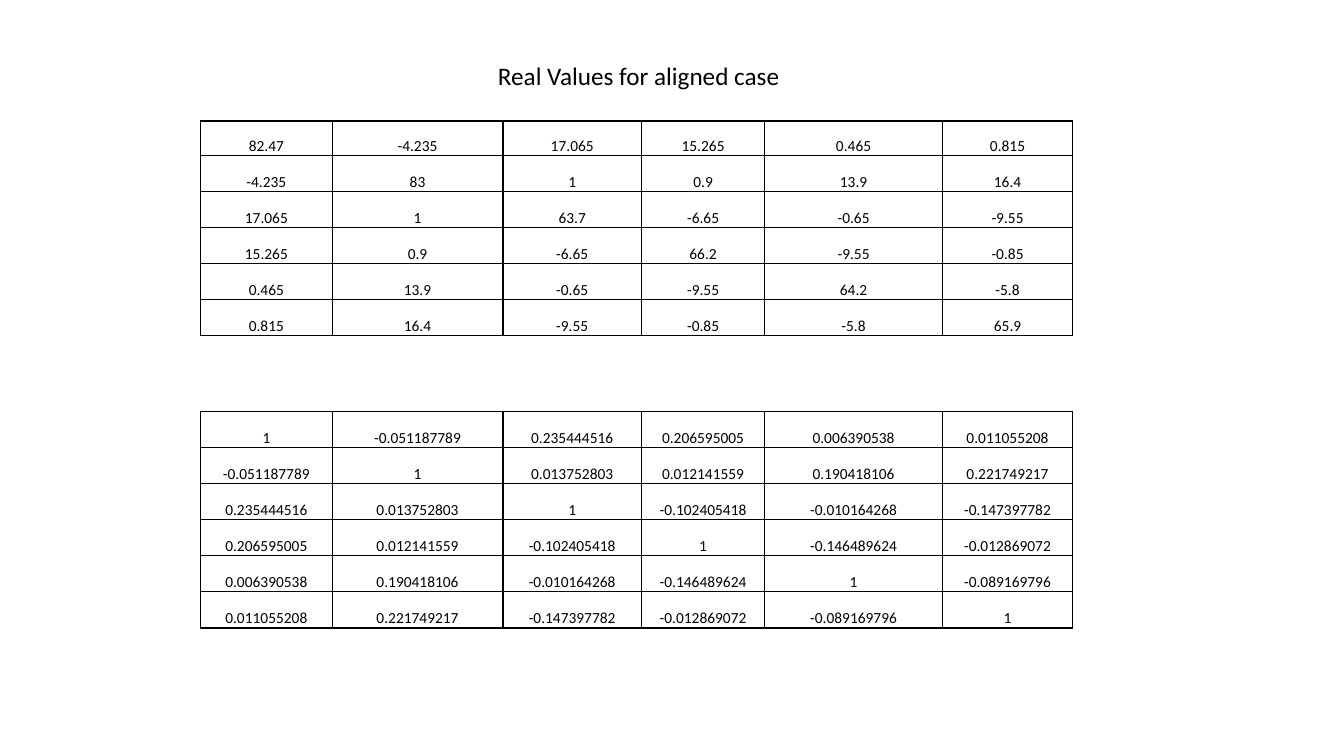
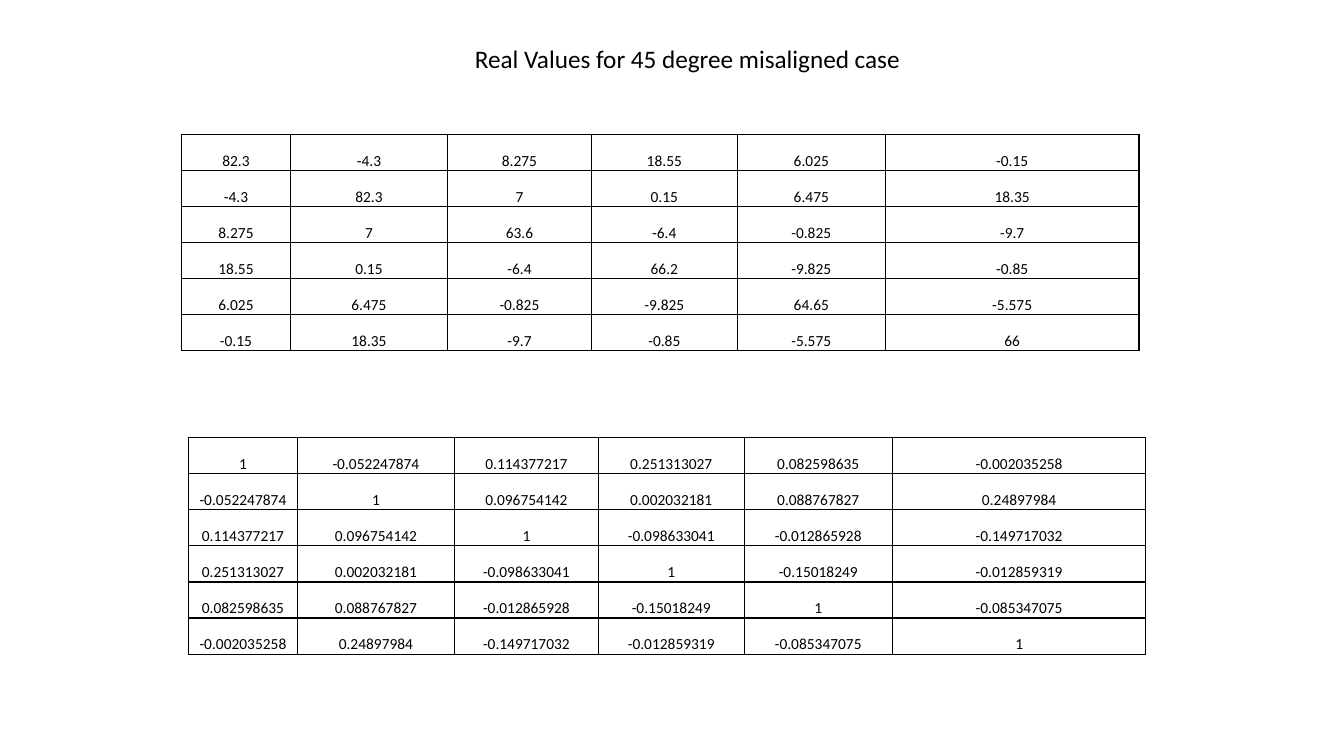
from dataclasses import dataclass

from lxml.etree import SubElement
from pptx import Presentation
from pptx.dml.color import RGBColor
from pptx.enum.text import MSO_ANCHOR, MSO_AUTO_SIZE, PP_ALIGN
from pptx.oxml.ns import qn
from pptx.util import Pt


@dataclass(frozen=True)
class Theme:
    font: str = "Calibri"
    ink: str = "000000"
    title_size: float = 18
    cell_size: float = 11
    border_width: float = 1
    cell_inset: float = 0.75
    row_height: float = 25.8


THEME = Theme()
TITLE_ONLY_LAYOUT = 5

# Each matrix is symmetric: rows list the values from the diagonal rightwards
ALIGNED_VALUES = (
    "82.47 -4.235 17.065 15.265 0.465 0.815",
    "83 1 0.9 13.9 16.4",
    "63.7 -6.65 -0.65 -9.55",
    "66.2 -9.55 -0.85",
    "64.2 -5.8",
    "65.9",
)
ALIGNED_NORMALISED = (
    "1 -0.051187789 0.235444516 0.206595005 0.006390538 0.011055208",
    "1 0.013752803 0.012141559 0.190418106 0.221749217",
    "1 -0.102405418 -0.010164268 -0.147397782",
    "1 -0.146489624 -0.012869072",
    "1 -0.089169796",
    "1",
)
MISALIGNED_VALUES = (
    "82.3 -4.3 8.275 18.55 6.025 -0.15",
    "82.3 7 0.15 6.475 18.35",
    "63.6 -6.4 -0.825 -9.7",
    "66.2 -9.825 -0.85",
    "64.65 -5.575",
    "66",
)
MISALIGNED_NORMALISED = (
    "1 -0.052247874 0.114377217 0.251313027 0.082598635 -0.002035258",
    "1 0.096754142 0.002032181 0.088767827 0.24897984",
    "1 -0.098633041 -0.012865928 -0.149717032",
    "1 -0.15018249 -0.012859319",
    "1 -0.085347075",
    "1",
)

ALIGNED_COLUMNS = (94, 122, 99, 88, 127, 93)
MISALIGNED_COLUMNS = (78, 112, 103, 104, 106, 181)


def write_text(text_frame, text, *, size, align=PP_ALIGN.LEFT, color=THEME.ink):
    paragraph = text_frame.paragraphs[0]
    paragraph.alignment = align
    run = paragraph.add_run()
    run.text = text
    run.font.name = THEME.font
    run.font.size = Pt(size)
    run.font.color.rgb = RGBColor.from_string(color)


def add_title(slide, text, left, top, width):
    title = slide.shapes.title
    title.left, title.top = Pt(left), Pt(top)
    title.width, title.height = Pt(width), Pt(29)
    text_frame = title.text_frame
    text_frame.word_wrap = True
    text_frame.auto_size = MSO_AUTO_SIZE.SHAPE_TO_FIT_TEXT
    text_frame.vertical_anchor = MSO_ANCHOR.TOP
    write_text(text_frame, text, size=THEME.title_size)


def add_borders(cell):
    properties = cell._tc.get_or_add_tcPr()
    for side in ("a:lnL", "a:lnR", "a:lnT", "a:lnB"):
        line = SubElement(properties, qn(side), w=str(Pt(THEME.border_width)))
        fill = SubElement(line, qn("a:solidFill"))
        SubElement(fill, qn("a:srgbClr"), val=THEME.ink)


def format_cell(cell, text):
    inset = Pt(THEME.cell_inset)
    cell.margin_left = cell.margin_right = cell.margin_top = inset
    cell.margin_bottom = 0
    cell.vertical_anchor = MSO_ANCHOR.BOTTOM
    write_text(cell.text_frame, text, size=THEME.cell_size, align=PP_ALIGN.CENTER)
    # Borders come before the fill in the cell properties
    add_borders(cell)
    cell.fill.background()


def add_matrix(slide, triangle, left, top, column_widths, first_row_height=THEME.row_height):
    upper_rows = [row.split() for row in triangle]
    count = len(upper_rows)
    row_heights = [first_row_height] + [THEME.row_height] * (count - 1)
    frame = slide.shapes.add_table(
        count, count, Pt(left), Pt(top), Pt(sum(column_widths)), Pt(sum(row_heights))
    )
    table = frame.table
    table.first_row = table.horz_banding = False
    for column, width in zip(table.columns, column_widths):
        column.width = Pt(width)
    for row, height in zip(table.rows, row_heights):
        row.height = Pt(height)
    for i in range(count):
        for j in range(count):
            format_cell(table.cell(i, j), upper_rows[min(i, j)][abs(i - j)])


def main():
    presentation = Presentation()
    presentation.slide_width, presentation.slide_height = Pt(960), Pt(540)
    layout = presentation.slide_layouts[TITLE_ONLY_LAYOUT]

    # Aligned case
    slide = presentation.slides.add_slide(layout)
    add_title(slide, "Real Values for aligned case", 348.5, 39.6, 432)
    add_matrix(slide, ALIGNED_VALUES, 143.3, 86.4, ALIGNED_COLUMNS, first_row_height=24.5)
    add_matrix(slide, ALIGNED_NORMALISED, 143.3, 293.8, ALIGNED_COLUMNS)

    # Misaligned case
    slide = presentation.slides.add_slide(layout)
    add_title(slide, "Real Values for 45 degree misaligned case", 332, 27.4, 326)
    add_matrix(slide, MISALIGNED_VALUES, 129.6, 95.8, MISALIGNED_COLUMNS)
    add_matrix(slide, MISALIGNED_NORMALISED, 134.6, 312.5, MISALIGNED_COLUMNS)

    presentation.save("out.pptx")


if __name__ == "__main__":
    main()
